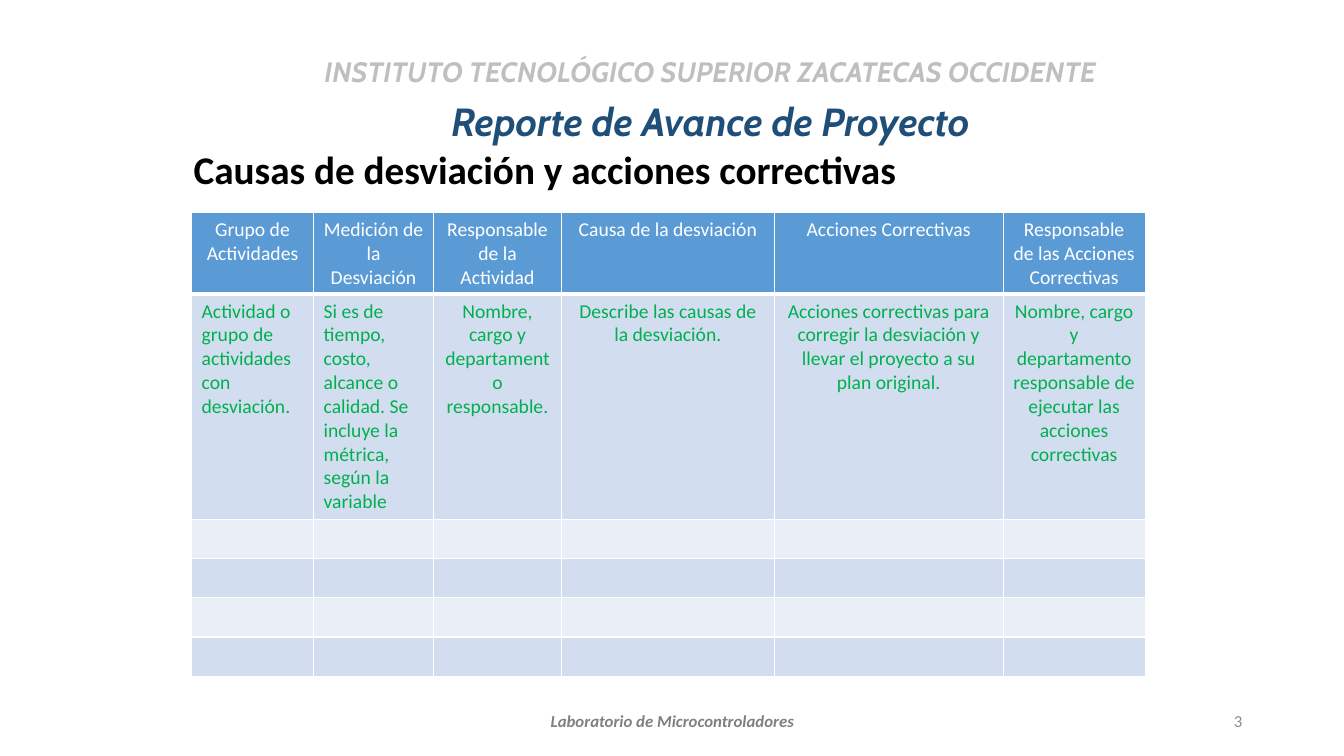
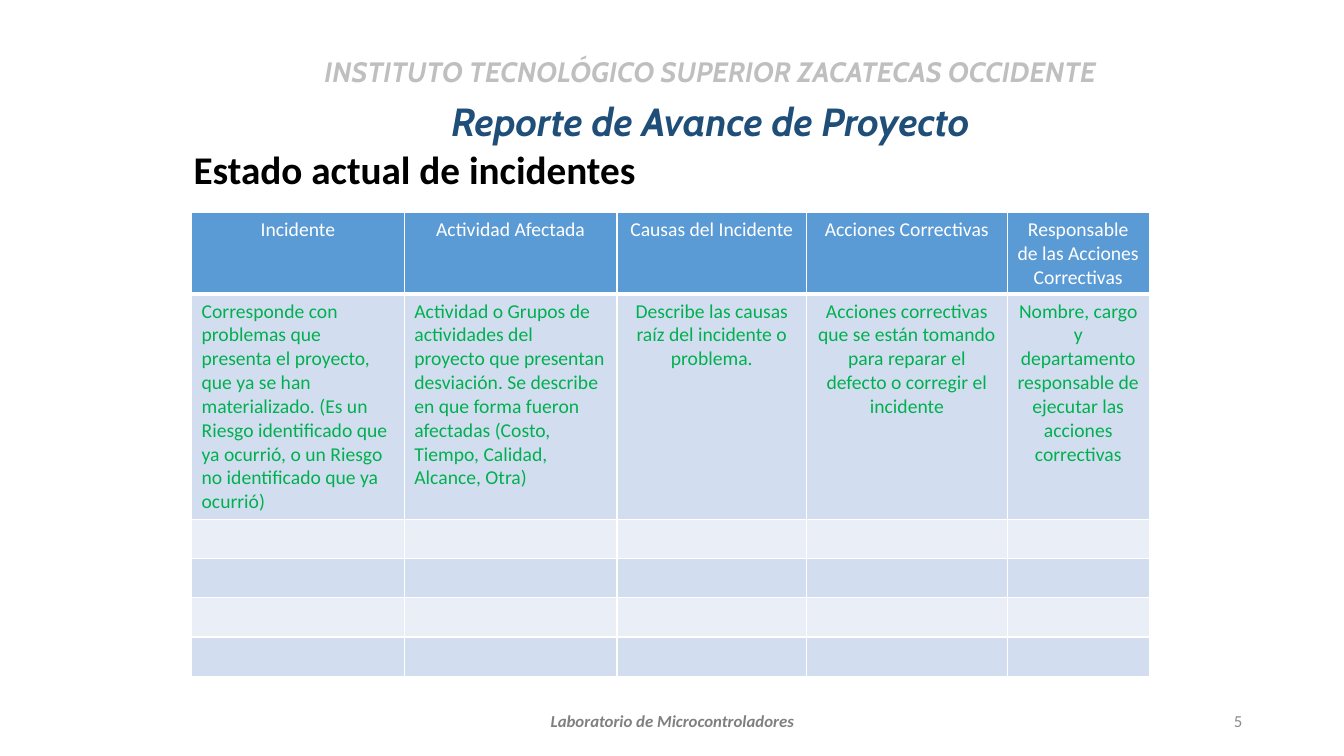
from dataclasses import dataclass

from lxml import etree
from pptx import Presentation
from pptx.dml.color import RGBColor
from pptx.enum.text import MSO_ANCHOR, MSO_AUTO_SIZE, PP_ALIGN
from pptx.oxml.ns import qn
from pptx.util import Inches, Pt

LEFT, CENTER, RIGHT = PP_ALIGN.LEFT, PP_ALIGN.CENTER, PP_ALIGN.RIGHT
MIDDLE = MSO_ANCHOR.MIDDLE
NO_AUTOFIT = MSO_AUTO_SIZE.NONE
TITLE_ONLY = 5


@dataclass(frozen=True)
class TextStyle:
    size: int
    color: str
    font: str = "Calibri"
    bold: bool = False
    italic: bool = False
    align: PP_ALIGN = CENTER


@dataclass(frozen=True)
class Theme:
    title = TextStyle(28, "000000", bold=True, align=LEFT)
    institute = TextStyle(20, "BFBFBF", "Cabin", True, True)
    report = TextStyle(28, "1F4E79", "Cabin", True, True)
    footer = TextStyle(12, "808080", bold=True, italic=True)
    number = TextStyle(12, "8C8C8C", align=RIGHT)
    heading = TextStyle(14, "FFFFFF")
    guidance = TextStyle(14, "00B050")
    guidance_left = TextStyle(14, "00B050", align=LEFT)
    heading_fill = "5B9BD5"
    band_fills = ("D2DEEF", "EAEFF7")
    border = "FFFFFF"
    border_width = 1
    heading_border_width = 3


THEME = Theme()
TITLE_BOX = (1.82, 1.48, 8.5, 0.39)
INSTITUTE_BOX = (1.67, 0.51, 10.75, 0.4)
REPORT_BOX = (1.67, 1, 10.75, 0.4)
FOOTER_BOX = (4.42, 6.95, 4.5, 0.4)
NUMBER_BOX = (9.42, 6.95, 3, 0.4)
TABLE_LEFT, TABLE_TOP = 1.9, 2.11
HEADING_HEIGHT, GUIDANCE_HEIGHT, ENTRY_HEIGHT = 0.81, 2.22, 0.39
ENTRY_ROWS = 4
LEFT_ALIGNED_COLUMNS = 2

RESPONSIBLE = (
    1.41,
    "Responsable de las Acciones Correctivas",
    "Nombre, cargo y departamento responsable de ejecutar las acciones correctivas",
)
DEVIATIONS = [
    (1.21, "Grupo de Actividades", "Actividad o grupo de actividades con desviación."),
    (1.19, "Medición de la Desviación",
     "Si es de tiempo, costo, alcance o calidad. Se incluye la métrica, según la variable"),
    (1.27, "Responsable de la Actividad", "Nombre, cargo y departamento responsable."),
    (2.11, "Causa de la desviación", "Describe las causas de la desviación."),
    (2.27, "Acciones Correctivas",
     "Acciones correctivas para corregir la desviación y llevar el proyecto a su plan original."),
    RESPONSIBLE,
]
INCIDENTS = [
    (2.11, "Incidente",
     "Corresponde con problemas que presenta el proyecto, que ya se han materializado. "
     "(Es un Riesgo identificado que ya ocurrió, o un Riesgo no identificado que ya ocurrió)"),
    (2.11, "Actividad Afectada",
     "Actividad o Grupos de actividades del proyecto que presentan desviación. "
     "Se describe en que forma fueron afectadas (Costo, Tiempo, Calidad, Alcance, Otra)"),
    (1.88, "Causas del Incidente", "Describe las causas raíz del incidente o problema."),
    (1.99, "Acciones Correctivas",
     "Acciones correctivas que se están tomando para reparar el defecto o corregir el incidente"),
    RESPONSIBLE,
]


def inches(values):
    return [Inches(value) for value in values]


def write(frame, text, style):
    paragraph = frame.paragraphs[0]
    paragraph.alignment = style.align
    run = paragraph.add_run()
    run.text = text
    run.font.name = style.font
    run.font.size = Pt(style.size)
    run.font.bold = style.bold
    run.font.italic = style.italic
    run.font.color.rgb = RGBColor.from_string(style.color)


def write_line(frame, text, style):
    frame.word_wrap = True
    frame.auto_size = NO_AUTOFIT
    frame.vertical_anchor = MIDDLE
    write(frame, text, style)


def add_title(slide, text):
    title = slide.shapes.title
    title.left, title.top, title.width, title.height = inches(TITLE_BOX)
    write_line(title.text_frame, text, THEME.title)


def add_label(slide, box, text, style):
    label = slide.shapes.add_textbox(*inches(box))
    write_line(label.text_frame, text, style)


def add_border(cell, side, width):
    properties = cell._tc.get_or_add_tcPr()
    line = etree.SubElement(properties, qn(f"a:ln{side}"), w=str(Pt(width)))
    fill = etree.SubElement(line, qn("a:solidFill"))
    etree.SubElement(fill, qn("a:srgbClr"), val=THEME.border)


def paint_cell(cell, color, sides, bottom_width):
    for side in sides:
        add_border(cell, side, THEME.border_width)
    add_border(cell, "B", bottom_width)
    cell.fill.solid()
    cell.fill.fore_color.rgb = RGBColor.from_string(color)


def add_report_table(slide, columns):
    heights = [HEADING_HEIGHT, GUIDANCE_HEIGHT] + [ENTRY_HEIGHT] * ENTRY_ROWS
    widths = [width for width, _, _ in columns]
    area = (TABLE_LEFT, TABLE_TOP, sum(widths), sum(heights))
    table = slide.shapes.add_table(len(heights), len(columns), *inches(area)).table
    for row, height in zip(table.rows, heights):
        row.height = Inches(height)
    for index, (width, heading, guidance) in enumerate(columns):
        table.columns[index].width = Inches(width)
        heading_cell, guidance_cell, *entries = [
            table.cell(row, index) for row in range(len(heights))
        ]
        paint_cell(heading_cell, THEME.heading_fill, "LRT", THEME.heading_border_width)
        write(heading_cell.text_frame, heading, THEME.heading)
        left_aligned = index < LEFT_ALIGNED_COLUMNS
        write(guidance_cell.text_frame, guidance,
              THEME.guidance_left if left_aligned else THEME.guidance)
        for band, cell in enumerate([guidance_cell, *entries]):
            paint_cell(cell, THEME.band_fills[band % 2], "LR", THEME.border_width)
        for cell in entries:
            cell.margin_top = cell.margin_bottom = 0


def add_report_slide(deck, title, number, columns):
    slide = deck.slides.add_slide(deck.slide_layouts[TITLE_ONLY])
    add_title(slide, title)
    add_label(slide, NUMBER_BOX, number, THEME.number)
    add_report_table(slide, columns)
    add_label(slide, FOOTER_BOX, "Laboratorio de Microcontroladores", THEME.footer)
    add_label(slide, INSTITUTE_BOX,
              "INSTITUTO TECNOLÓGICO SUPERIOR ZACATECAS OCCIDENTE", THEME.institute)
    add_label(slide, REPORT_BOX, "Reporte de Avance de Proyecto", THEME.report)


def main():
    deck = Presentation()
    deck.slide_width, deck.slide_height = Inches(13.33), Inches(7.5)
    add_report_slide(deck, "Causas de desviación y acciones correctivas", "3", DEVIATIONS)
    add_report_slide(deck, "Estado actual de incidentes", "5", INCIDENTS)
    deck.save("out.pptx")


main()
